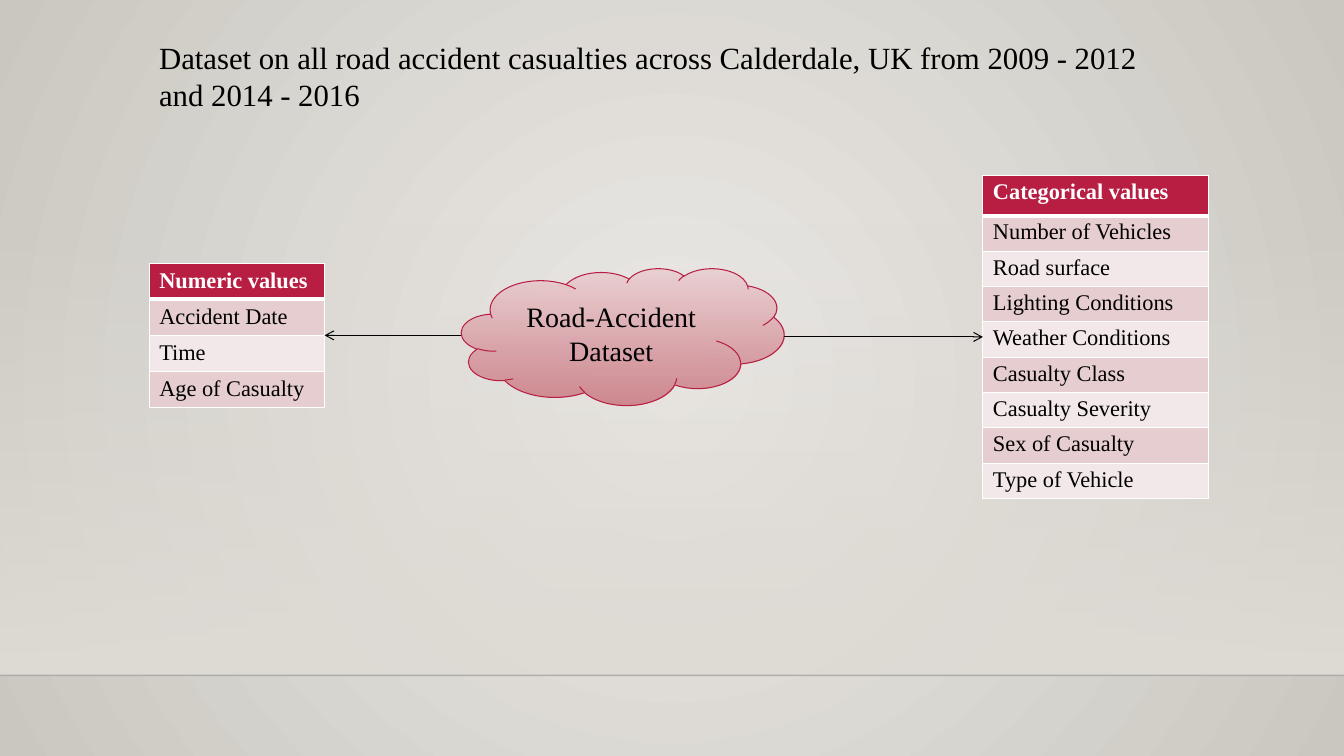
from lxml.etree import SubElement
from pptx import Presentation
from pptx.dml.color import RGBColor
from pptx.enum.shapes import MSO_CONNECTOR, MSO_SHAPE
from pptx.enum.text import MSO_ANCHOR, MSO_AUTO_SIZE, PP_ALIGN
from pptx.oxml.ns import qn
from pptx.util import Cm, Pt

FONT = "Times New Roman"
CRIMSON, BLACK, WHITE = "B71E42", "000000", "FFFFFF"
BANDS = ("E6CDCF", "F3E8E9")
LEFT_SIDE, RIGHT_SIDE = 1, 3


def rgb(hex_color):
    return RGBColor.from_string(hex_color)


def add_color(parent, hex_color, alpha=100):
    color = SubElement(parent, qn("a:srgbClr"), val=hex_color)
    if alpha < 100:
        SubElement(color, qn("a:alpha"), val=str(alpha * 1000))


def set_gradient(fill, owner, start, end, radial=False):
    """Shade from start to end, each a (colour, opacity) pair, downwards or from the centre."""
    fill.gradient()
    gradient = owner.element.find(".//" + qn("a:gradFill"))
    for child in list(gradient):
        gradient.remove(child)
    stops = SubElement(gradient, qn("a:gsLst"))
    for position, (color, alpha) in (("0", start), ("100000", end)):
        add_color(SubElement(stops, qn("a:gs"), pos=position), color, alpha)
    if radial:
        centre = SubElement(gradient, qn("a:path"), path="circle")
        SubElement(centre, qn("a:fillToRect"), l="50000", t="50000", r="50000", b="50000")
    else:
        SubElement(gradient, qn("a:lin"), ang="5400000", scaled="0")


def style_text(text_frame, size, color=BLACK, bold=False, align=PP_ALIGN.LEFT):
    for paragraph in text_frame.paragraphs:
        paragraph.alignment = align
        for run in paragraph.runs:
            run.font.name, run.font.size, run.font.bold = FONT, Pt(size), bold
            run.font.color.rgb = rgb(color)


def add_line(slide, start, end, color, width):
    line = slide.shapes.add_connector(MSO_CONNECTOR.STRAIGHT, *start, *end)
    line.line.color.rgb = rgb(color)
    line.line.width = Pt(width)
    SubElement(line.element.spPr, qn("a:effectLst"))
    return line


def add_backdrop(slide, width, height, wall_top, floor_top):
    set_gradient(slide.background.fill, slide.background._cSld and slide,
                 ("ECEAE7", 100), ("CAC7C1", 100), radial=True)
    wall = slide.shapes.add_shape(MSO_SHAPE.RECTANGLE, 0, wall_top, width, floor_top - wall_top)
    wall.shadow.inherit = False
    wall.line.fill.background()
    set_gradient(wall.fill, wall, ("DFDBD5", 0), ("DFDBD5", 100))
    floor_edge = add_line(slide, (0, floor_top), (width, floor_top), BLACK, 1)
    edge_color = floor_edge.element.find(".//" + qn("a:srgbClr"))
    SubElement(edge_color, qn("a:alpha"), val="20000")


def add_title(slide, left, top, width, height):
    title = slide.shapes.add_textbox(left, top, width, height).text_frame
    title.word_wrap = True
    title.auto_size = MSO_AUTO_SIZE.SHAPE_TO_FIT_TEXT
    title.text = ("Dataset on all road accident casualties across Calderdale, UK "
                  "from 2009 - 2012 and 2014 - 2016")
    style_text(title, 22)


def add_dataset_cloud(slide, left, top, width, height):
    cloud = slide.shapes.add_shape(MSO_SHAPE.CLOUD, left, top, width, height)
    cloud.shadow.inherit = False
    set_gradient(cloud.fill, cloud, ("EAD1D3", 100), ("CD828A", 92))
    cloud.line.color.rgb = rgb(CRIMSON)
    cloud.line.width = Pt(0.75)
    cloud.text_frame.text = "Road-Accident\nDataset"
    cloud.text_frame.vertical_anchor = MSO_ANCHOR.MIDDLE
    style_text(cloud.text_frame, 20, align=PP_ALIGN.CENTER)
    return cloud


def set_borders(cell, bottom_width, top_width):
    properties = cell._tc.get_or_add_tcPr()
    for side, width in (("L", 1), ("R", 1), ("T", top_width), ("B", bottom_width)):
        border = SubElement(properties, qn("a:ln" + side), w=str(Pt(width)))
        add_color(SubElement(border, qn("a:solidFill")), WHITE)


def add_value_table(slide, left, top, width, header_height, row_height, margin, labels):
    """Add a one-column table whose first label is the header."""
    height = header_height + row_height * (len(labels) - 1)
    frame = slide.shapes.add_table(len(labels), 1, left, top, width, height)
    table = frame.table
    for index, label in enumerate(labels):
        is_header = index == 0
        table.rows[index].height = header_height if is_header else row_height
        cell = table.cell(index, 0)
        set_borders(cell, 3 if is_header else 1, 3 if index == 1 else 1)
        cell.margin_top = cell.margin_bottom = margin
        cell.fill.solid()
        cell.fill.fore_color.rgb = rgb(CRIMSON if is_header else BANDS[(index - 1) % 2])
        cell.text_frame.text = label
        style_text(cell.text_frame, 16, WHITE if is_header else BLACK, is_header)
    return frame


def add_arrow(slide, cloud_edge, table, side):
    """Point from the cloud's edge to the middle of the given side of the table."""
    middle = table.top + table.height // 2
    arrow = add_line(slide, (cloud_edge, middle), (table.left, middle), BLACK, 0.75)
    arrow.end_connect(table, side)
    SubElement(arrow.line._get_or_add_ln(), qn("a:tailEnd"), type="arrow")


def main():
    presentation = Presentation()
    presentation.slide_width, presentation.slide_height = Cm(33.87), Cm(19.05)
    slide = presentation.slides.add_slide(presentation.slide_layouts[6])

    add_backdrop(slide, presentation.slide_width, presentation.slide_height, Cm(5.61), Cm(17.02))
    cloud = add_dataset_cloud(slide, Cm(11.63), Cm(6.76), Cm(8.13), Cm(3.45))
    numeric = add_value_table(
        slide, Cm(3.76), Cm(6.63), Cm(4.42), Cm(0.91), Cm(0.91), Cm(0.13),
        ("Numeric values", "Accident Date", "Time", "Age of Casualty"))
    categorical = add_value_table(
        slide, Cm(24.77), Cm(4.42), Cm(5.69), Cm(1.02), Cm(0.89), Cm(0.1),
        ("Categorical values", "Number of Vehicles", "Road surface", "Lighting Conditions",
         "Weather Conditions", "Casualty Class", "Casualty Severity", "Sex of Casualty",
         "Type of Vehicle"))
    add_arrow(slide, cloud.left + cloud.width, categorical, LEFT_SIDE)
    add_arrow(slide, cloud.left, numeric, RIGHT_SIDE)
    add_title(slide, Cm(3.76), Cm(0.86), Cm(25.6), Cm(2.13))

    presentation.save("out.pptx")


if __name__ == "__main__":
    main()
